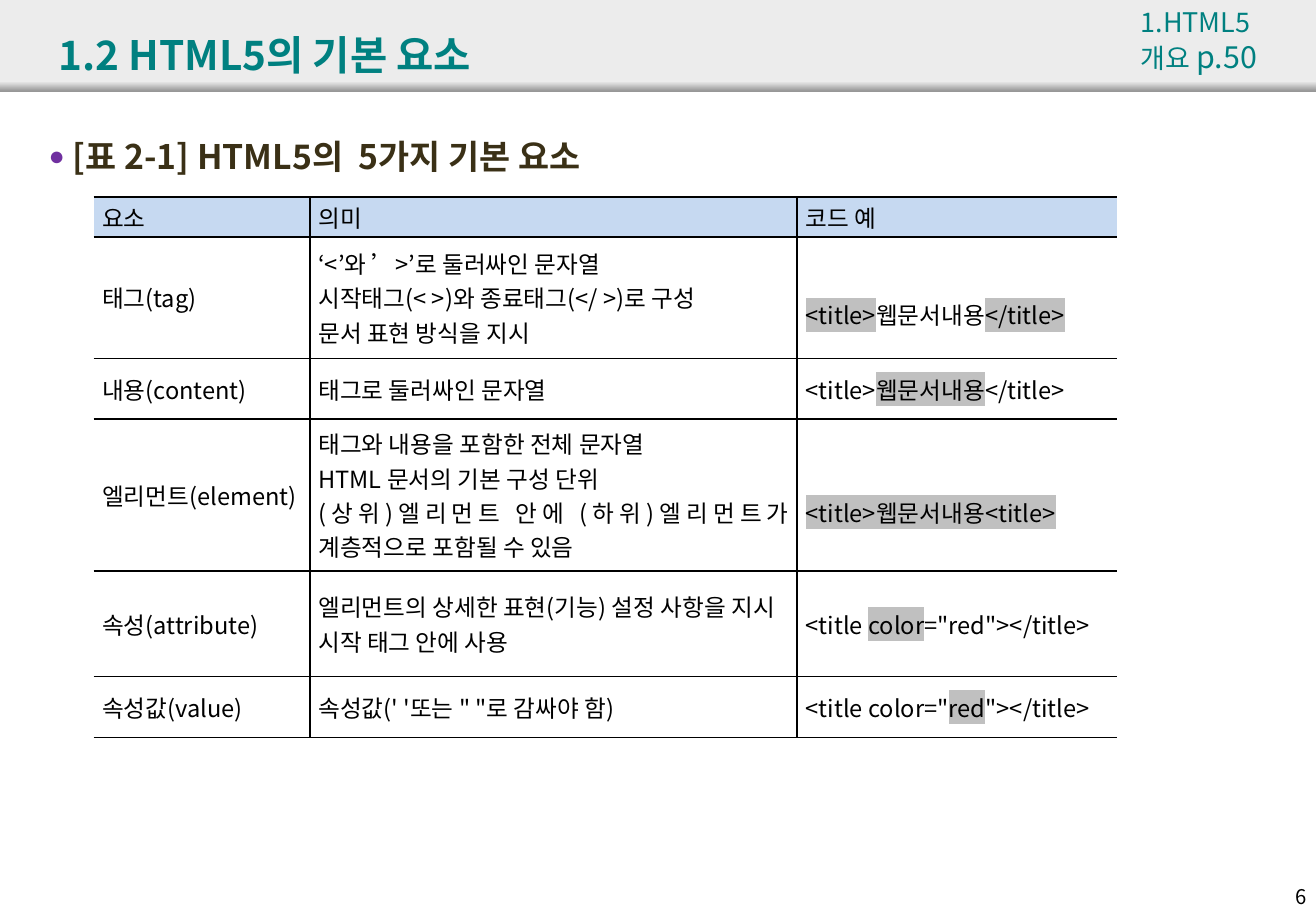
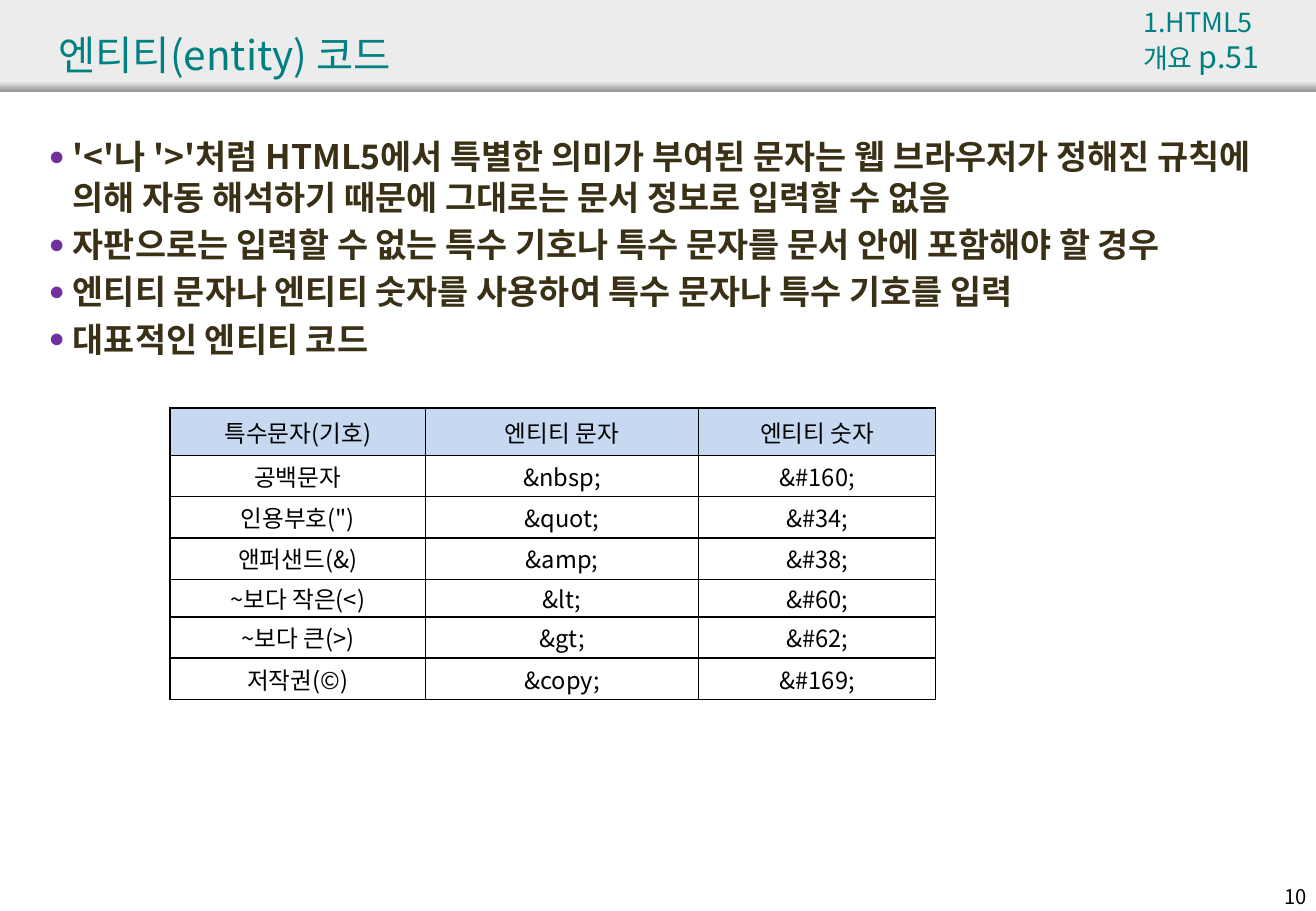
from lxml.etree import SubElement
from pptx import Presentation
from pptx.dml.color import RGBColor
from pptx.enum.shapes import MSO_SHAPE as Shape
from pptx.enum.text import MSO_ANCHOR as Anchor, MSO_AUTO_SIZE as AutoSize, PP_ALIGN as Align
from pptx.oxml.ns import qn
from pptx.util import Inches, Pt

FONT = "Noto Sans CJK KR"
TEAL, BROWN, PURPLE, BLACK = "008080", "3A3016", "7030A0", "000000"
BAND, BAND_EDGE, HEADER, MARK = "ECECEC", "979797", "C6D9F1", "C0C0C0"
WIDTH, HEIGHT = 10.83, 7.5

# Text between bars is highlighted; each cell is a list of lines.
ELEMENT_ROWS = [
    [["요소"], ["의미"], ["코드 예"]],
    [["태그(tag)"],
     ["‘<’와 ’>’로 둘러싸인 문자열", "시작태그(< >)와 종료태그(</ >)로 구성", "문서 표현 방식을 지시"],
     ["|<title>|웹문서내용|</title>|"]],
    [["내용(content)"], ["태그로 둘러싸인 문자열"], ["<title>|웹문서내용|</title>"]],
    [["엘리먼트(element)"],
     ["태그와 내용을 포함한 전체 문자열", "HTML 문서의 기본 구성 단위",
      "(상위)엘리먼트 안에 (하위)엘리먼트가 계층적으로 포함될 수 있음"],
     ["|<title>웹문서내용<title>|"]],
    [["속성(attribute)"],
     ["엘리먼트의 상세한 표현(기능) 설정 사항을 지시", "시작 태그 안에 사용"],
     ['<title |color|="red"></title>']],
    [["속성값(value)"], ["속성값(' '또는 \" \"로 감싸야 함)"], ['<title color="|red|"></title>']],
]
ENTITY_ROWS = [[[text] for text in row] for row in [
    ("특수문자(기호)", "엔티티 문자", "엔티티 숫자"),
    ("공백문자", "&nbsp;", "&#160;"),
    ('인용부호(")', "&quot;", "&#34;"),
    ("앤퍼샌드(&)", "&amp;", "&#38;"),
    ("~보다 작은(<)", "&lt;", "&#60;"),
    ("~보다 큰(>)", "&gt;", "&#62;"),
    ("저작권(©)", "&copy;", "&#169;"),
]]
PAGES = [
    dict(number="6", title="1.2 HTML5의 기본 요소", bold=True, source="p.50", source_left=9.29,
         bullets=["[표 2-1] HTML5의  5가지 기본 요소"],
         table=dict(rows=ELEMENT_ROWS, left=0.77, top=1.62, widths=[1.78, 4.01, 2.63],
                    heights=[0.33, 1, 0.5, 1.25, 0.87, 0.5], align=Align.JUSTIFY,
                    open_sides=True, lowered=[(1, 2), (3, 2)])),
    dict(number="10", title="엔티티(entity) 코드", bold=False, source="p.51", source_left=9.31,
         bullets=["'<'나 '>'처럼 HTML5에서 특별한 의미가 부여된 문자는 웹 브라우저가 정해진 "
                  "규칙에 의해 자동 해석하기 때문에 그대로는 문서 정보로 입력할 수 없음",
                  "자판으로는 입력할 수 없는 특수 기호나 특수 문자를 문서 안에 포함해야 할 경우",
                  "엔티티 문자나 엔티티 숫자를 사용하여 특수 문자나 특수 기호를 입력",
                  "대표적인 엔티티 코드"],
         table=dict(rows=ENTITY_ROWS, left=1.4, top=3.36, widths=[2.1, 2.25, 1.95],
                    heights=[0.39, 0.34, 0.34, 0.34, 0.31, 0.34, 0.34], align=Align.CENTER)),
]


def color(value):
    return RGBColor.from_string(value)


def add_span(para, text, size=14, ink=BLACK, bold=False, mark=None):
    span = para.add_run()
    span.text = text
    font = span.font
    font.size, font.bold, font.name = Pt(size), bold, FONT
    font.color.rgb = color(ink)
    if mark:
        props = span._r.get_or_add_rPr()
        highlight = props.makeelement(qn("a:highlight"), {})
        SubElement(highlight, qn("a:srgbClr"), val=mark)
        props.find(qn("a:solidFill")).addnext(highlight)


def place(shape, left, top, width, height):
    shape.left, shape.top = Inches(left), Inches(top)
    shape.width, shape.height = Inches(width), Inches(height)


def add_text(page, spans, left, top, width, height, align):
    """Add a one-paragraph text box from (text, size, ink) spans."""
    box = page.shapes.add_textbox(*map(Inches, (left, top, width, height)))
    box.text_frame.word_wrap = True
    para = box.text_frame.paragraphs[0]
    para.alignment = align
    for text, size, ink in spans:
        add_span(para, text, size=size, ink=ink)


def add_bands(page, layout):
    """Draw the header bands and move them behind everything on the layout."""
    for index, (top, height) in enumerate([(0, 0.75), (0.67, 0.08)]):
        band = page.shapes.add_shape(Shape.RECTANGLE, 0, Inches(top), Inches(WIDTH), Inches(height))
        band.shadow.inherit = False
        band.line.fill.background()
        if index == 0:
            band.fill.solid()
            band.fill.fore_color.rgb = color(BAND)
        else:
            band.fill.gradient()
            band.fill.gradient_angle = 270
            for stop, shade in zip(band.fill.gradient_stops, (BAND, BAND_EDGE)):
                stop.color.rgb = color(shade)
        layout.shapes.element.insert(2 + index, band.element)


def fill_title(page, text, bold):
    title = page.shapes.title
    place(title, 0.38, 0.13, 9.92, 0.63)
    frame = title.text_frame
    frame.vertical_anchor, frame.auto_size = Anchor.MIDDLE, AutoSize.NONE
    para = frame.paragraphs[0]
    para.alignment = Align.LEFT
    add_span(para, text, size=24, ink=TEAL, bold=bold)


def fill_bullets(page, bullets):
    body = page.placeholders[1]
    place(body, 0.3, 1.07, 10.32, 6.22)
    frame = body.text_frame
    frame.auto_size = AutoSize.NONE
    for index, text in enumerate(bullets):
        para = frame.paragraphs[0] if index == 0 else frame.add_paragraph()
        para.space_before, para.line_spacing = Pt(4), 1.0
        add_span(para, text, size=20, ink=BROWN, bold=True)
        props = para._p.get_or_add_pPr()
        props.set("marL", str(Inches(0.2)))
        props.set("indent", str(Inches(-0.2)))
        SubElement(SubElement(props, qn("a:buClr")), qn("a:srgbClr"), val=PURPLE)
        SubElement(props, qn("a:buSzPct"), val="80000")
        SubElement(props, qn("a:buChar"), char="●")


def set_borders(cell, hidden):
    props = cell._tc.get_or_add_tcPr()
    for side in "LRTB":
        line = SubElement(props, qn(f"a:ln{side}"), w=str(Pt(1)))
        if side in hidden:
            SubElement(line, qn("a:noFill"))
        else:
            SubElement(SubElement(line, qn("a:solidFill")), qn("a:srgbClr"), val=BLACK)


def add_grid(page, rows, left, top, widths, heights, align, open_sides=False, lowered=()):
    """Add a table; lowered cells start one text line further down."""
    frame = page.shapes.add_table(len(rows), len(widths), Inches(left), Inches(top),
                                  Inches(sum(widths)), Inches(sum(heights)))
    table = frame.table
    table.first_row = table.horz_banding = False
    for column, width in zip(table.columns, widths):
        column.width = Inches(width)
    for row, height in zip(table.rows, heights):
        row.height = Inches(height)
    last = len(widths) - 1
    for r, row in enumerate(rows):
        for c, lines in enumerate(row):
            cell = table.cell(r, c)
            cell.margin_left = cell.margin_right = Inches(0.07)
            cell.margin_top = Inches(0.28 if (r, c) in lowered else 0)
            cell.margin_bottom = 0
            cell.vertical_anchor = Anchor.MIDDLE
            set_borders(cell, {0: "L", last: "R"}.get(c, "") if open_sides else "")
            if r == 0:
                cell.fill.solid()
                cell.fill.fore_color.rgb = color(HEADER)
            else:
                cell.fill.background()
            for index, line in enumerate(lines):
                para = cell.text_frame.paragraphs[0] if index == 0 else cell.text_frame.add_paragraph()
                para.alignment = align
                for part, text in enumerate(line.split("|")):
                    if text:
                        add_span(para, text, mark=MARK if part % 2 else None)


def main():
    deck = Presentation()
    deck.slide_width, deck.slide_height = Inches(WIDTH), Inches(HEIGHT)
    layout = deck.slide_layouts[1]
    for index, content in enumerate(PAGES):
        page = deck.slides.add_slide(layout)
        if index == 0:
            add_bands(page, layout)
        fill_title(page, content["title"], content["bold"])
        fill_bullets(page, content["bullets"])
        add_grid(page, **content["table"])
        add_text(page, [("1.HTML5 개요 ", 16, TEAL), (content["source"], 18, TEAL)],
                 content["source_left"], 0, 1.5, 0.4, Align.JUSTIFY)
        add_text(page, [(content["number"], 12, BLACK)], 10.3, 7.23, 0.55, 0.3, Align.RIGHT)
    deck.save("out.pptx")


if __name__ == "__main__":
    main()
